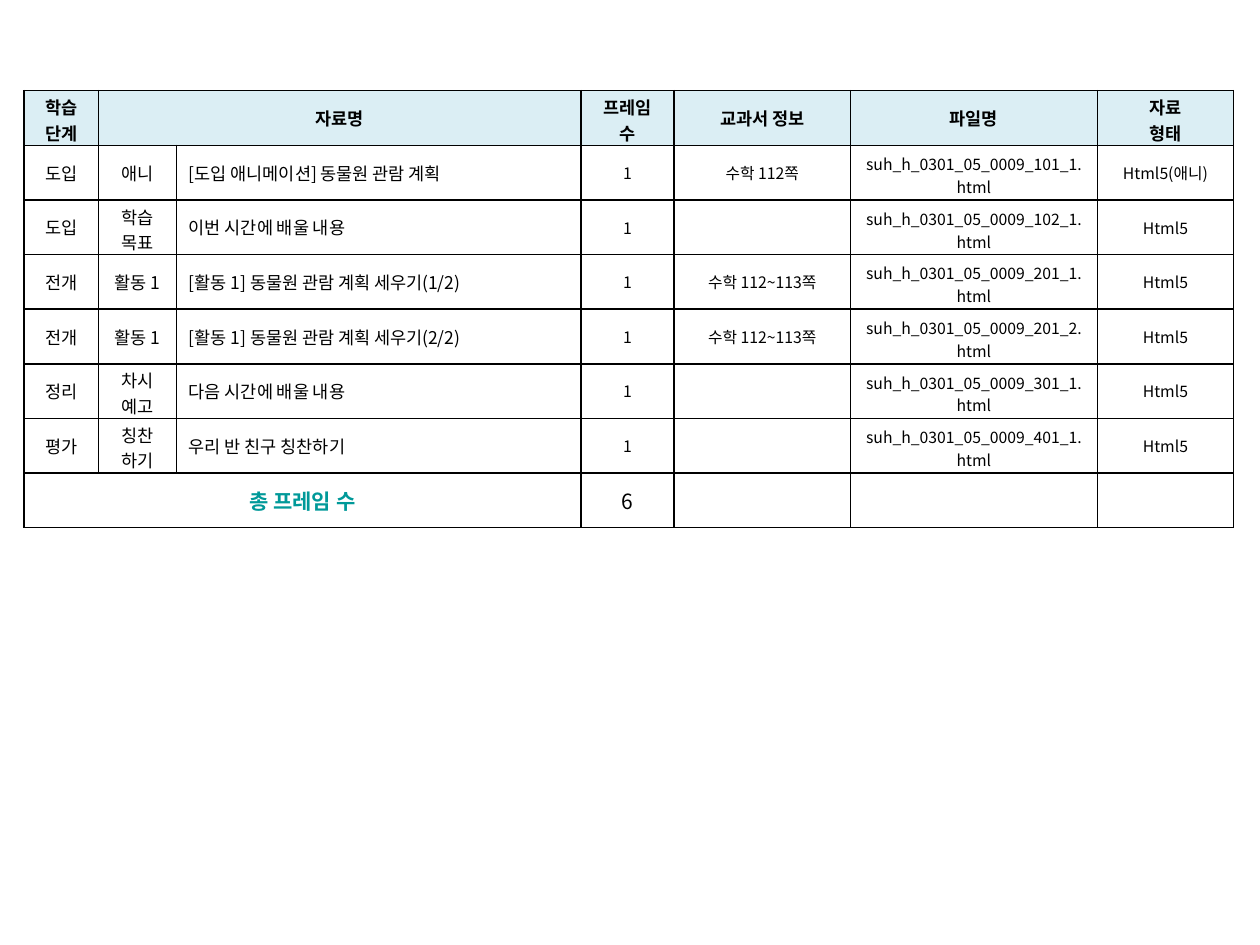
from dataclasses import dataclass

from lxml import etree
from pptx import Presentation
from pptx import util as u
from pptx.dml import color
from pptx.enum import text
from pptx.oxml import ns


@dataclass(frozen=True)
class Theme:
    """Colours, font and type sizes of the slide."""
    font: str = "Noto Sans CJK KR"
    ink: str = "000000"
    teal: str = "009999"
    head: str = "DBEEF4"
    small: int = 9
    body: int = 10
    total: int = 12
    line: float = 1


THEME = Theme()
COLS = [0.59, 0.62, 3.21, 0.74, 1.4, 1.96, 1.08]
HIGH = 3.47
FILE = "suh_h_0301_05_0009_{}.html"
HEAD = ["학습 단계", "자료명", "", "프레임 수", "교과서 정보", "파일명", "자료\n형태"]
ITEMS = [
    ("도입", "애니", "[도입 애니메이션] 동물원 관람 계획", "수학 112쪽", "101_1", "Html5(애니)"),
    ("도입", "학습 목표", "이번 시간에 배울 내용", "", "102_1", "Html5"),
    ("전개", "활동 1", "[활동 1] 동물원 관람 계획 세우기(1/2)", "수학 112~113쪽", "201_1", "Html5"),
    ("전개", "활동 1", "[활동 1] 동물원 관람 계획 세우기(2/2)", "수학 112~113쪽", "201_2", "Html5"),
    ("정리", "차시 예고", "다음 시간에 배울 내용", "", "301_1", "Html5"),
    ("평가", "칭찬\n하기", "우리 반 친구 칭찬하기", "", "401_1", "Html5"),
]
TIGHT = {"학습 단계", "프레임 수", "자료\n형태", "학습 목표", "차시 예고", "칭찬\n하기"}


def add_tag(base, tag, **attrs):
    """Append a drawing element to its parent."""
    return etree.SubElement(base, ns.qn(tag), attrs)


def set_edge(cell):
    """Draw a thin solid line on all four sides of a cell."""
    props = cell._tc.get_or_add_tcPr()
    for side in "LRTB":
        line = add_tag(props, f"a:ln{side}", w=str(u.Pt(THEME.line)))
        add_tag(add_tag(line, "a:solidFill"), "a:srgbClr", val=THEME.ink)


def set_fill(cell, tint):
    """Fill a cell with a tint, or leave it clear."""
    if tint:
        cell.fill.solid()
        cell.fill.fore_color.rgb = color.RGBColor.from_string(tint)
    else:
        cell.fill.background()


def set_pad(cell, words):
    """Trim the margins of two-line cells so that rows stay equal."""
    if words in TIGHT:
        cell.margin_top, cell.margin_bottom = u.Inches(0.03), 0
    elif words.endswith(".html"):
        cell.margin_top, cell.margin_bottom = u.Inches(0.05), u.Inches(0.01)


def set_text(cell, words, size, bold=False, tone=THEME.ink, left=False):
    """Write the words of a cell and format its runs."""
    cell.text_frame.text = words
    cell.vertical_anchor = text.MSO_ANCHOR.MIDDLE
    set_pad(cell, words)
    for para in cell.text_frame.paragraphs:
        para.alignment = text.PP_ALIGN.LEFT if left else text.PP_ALIGN.CENTER
        for run in para.runs:
            font = run.font
            font.name, font.size, font.bold = THEME.font, u.Pt(size), bold
            font.color.rgb = color.RGBColor.from_string(tone)
            props = run._r.get_or_add_rPr()
            props.set("kern", "0")
            add_tag(props, "a:ea", typeface=THEME.font)
        if not para.runs:
            add_tag(para._p, "a:endParaRPr", sz=str(size * 100))


def add_grid(slide, count):
    """Add a plain ruled table with equal rows."""
    frame = slide.shapes.add_table(
        count, len(COLS), u.Inches(0.19), u.Inches(0.72),
        u.Inches(sum(COLS)), u.Inches(HIGH))
    grid = frame.table
    grid.first_row = grid.horz_banding = False
    for col, wide in zip(grid.columns, COLS):
        col.width = u.Inches(wide)
    for num, row in enumerate(grid.rows):
        row.height = u.Inches(HIGH / count)
        for cell in row.cells:
            set_edge(cell)
            set_fill(cell, None if num else THEME.head)
    return grid


def fill_head(grid):
    """Write the heading row."""
    for num, words in enumerate(HEAD):
        set_text(grid.cell(0, num), words, THEME.body, bold=True)
    grid.cell(0, 1).merge(grid.cell(0, 2))


def fill_items(grid):
    """Write one row for each lesson frame."""
    for row, (stage, part, title, pages, code, kind) in enumerate(ITEMS, 1):
        line = [stage, part, title, "1", pages, FILE.format(code), kind]
        for num, words in enumerate(line):
            size = THEME.body if num < 3 else THEME.small
            set_text(grid.cell(row, num), words, size, left=num == 2)


def fill_total(grid):
    """Write the closing row with the frame count."""
    last = len(ITEMS) + 1
    line = ["총 프레임 수", "", "", str(len(ITEMS)), "", "", ""]
    for num, words in enumerate(line):
        tone = THEME.ink if num else THEME.teal
        set_text(grid.cell(last, num), words, THEME.total, num == 0, tone)
    grid.cell(last, 0).merge(grid.cell(last, 2))


def main():
    """Build the slide and save it."""
    deck = Presentation()
    deck.slide_width, deck.slide_height = u.Inches(10), u.Inches(7.5)
    slide = deck.slides.add_slide(deck.slide_layouts[6])
    grid = add_grid(slide, len(ITEMS) + 2)
    fill_head(grid)
    fill_items(grid)
    fill_total(grid)
    deck.save("out.pptx")


if __name__ == "__main__":
    main()
